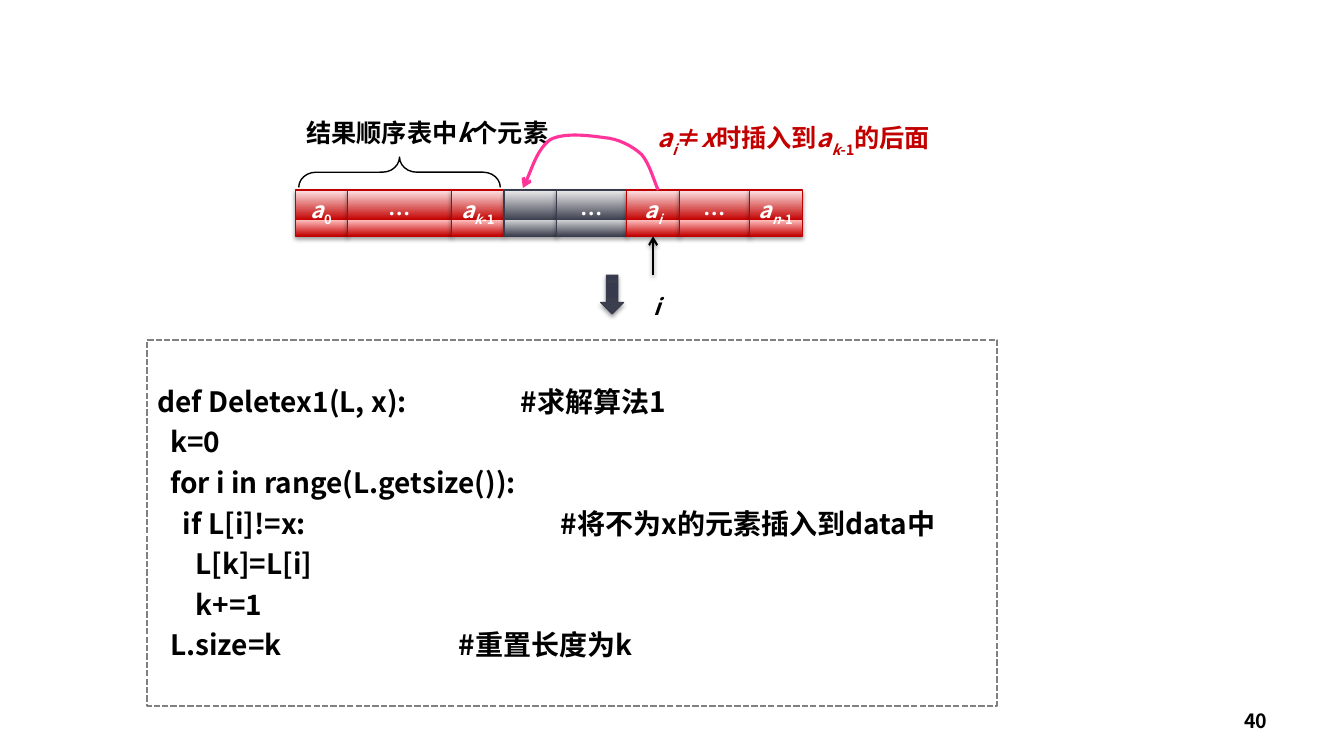
from typing import NamedTuple

import pptx
import pptx.dml.color
import pptx.enum.dml
import pptx.enum.shapes
import pptx.enum.text
import pptx.oxml
import pptx.oxml.ns
import pptx.util

PX = 9525
FONT = "Noto Sans CJK SC"
NS = pptx.oxml.ns.nsdecls("a")
KIND = pptx.enum.shapes.MSO_SHAPE
ALIGN = pptx.enum.text.PP_ALIGN
ANCHOR = pptx.enum.text.MSO_ANCHOR
qn = pptx.oxml.ns.qn
Pt = pptx.util.Pt


class Bit(NamedTuple):
    text: str
    italic: bool = False
    sub: bool = False


class Skin(NamedTuple):
    stops: list[tuple[int, str]]
    edge: str


class Cell(NamedTuple):
    width: int
    skin: Skin
    bits: list[Bit]


class Label(NamedTuple):
    box: tuple[int, int, int, int]
    size: int
    color: str
    inset: int
    bits: list[Bit]


class Code(NamedTuple):
    text: str
    note: str = ""
    stop: int = 0


RED = Skin([(0, "C30000"), (35, "FFBDBD"), (35, "C30000"), (100, "FFE6E6")], "BF0000")
GRAY = Skin([(0, "3B3E4D"), (35, "D1D2D5"), (35, "3B3E4D"), (100, "EEEEEF")], "393C4C")
DARK = Skin([(0, "3B3E4D"), (80, "373A4D"), (80, "3B3E4D"), (100, "363A4E")], "393C4C")

DOTS = [Bit("…")]
LAST = [Bit("a", True), Bit("k", True, True), Bit("-1", False, True)]
ITEM = [Bit("a", True), Bit("i", True, True)]
CELLS = [
    Cell(50, RED, [Bit("a", True), Bit("0", False, True)]),
    Cell(99, RED, DOTS),
    Cell(50, RED, LAST),
    Cell(50, GRAY, []),
    Cell(67, GRAY, DOTS),
    Cell(50, RED, ITEM),
    Cell(67, RED, DOTS),
    Cell(50, RED, [Bit("a", True), Bit("n", True, True), Bit("-1", False, True)]),
]
ROW_X, ROW_Y, ROW_H = 281, 181, 44
ITEM_AT = 5

LABELS = [
    Label((269, 107, 276, 44), 18, "000000", 5,
          [Bit("结果顺序表中"), Bit("k", True), Bit("个元素")]),
    Label((614, 112, 284, 44), 18, "C30000", 5,
          [*ITEM, Bit("≠"), Bit("x", True), Bit("时插入到"), *LAST, Bit("的后面")]),
    Label((609, 279, 33, 31), 16, "000000", 0, [Bit("i", True)]),
]
CODE = [
    Code("def Deletex1(L, x):", "#求解算法1", 346),
    Code("  k=0"),
    Code("  for i in range(L.getsize()):"),
    Code("    if L[i]!=x:", "#将不为x的元素插入到data中", 384),
    Code("      L[k]=L[i]"),
    Code("      k+=1"),
    Code("  L.size=k", "#重置长度为k", 287),
]
# Start point, then three points for each cubic segment
CURVE = [
    (627, 181),
    (624, 176), (619, 156), (611, 147),
    (602, 139), (589, 132), (575, 131),
    (561, 129), (537, 126), (524, 133),
    (512, 142), (504, 168), (498, 179),
]


def rgb(code: str):
    return pptx.dml.color.RGBColor.from_string(code)


def xml(text: str):
    return pptx.oxml.parse_xml(text)


def edge(line, color: str, width: float) -> None:
    line.color.rgb = rgb(color)
    line.width = Pt(width)


def tip(shape) -> None:
    """Put an arrowhead at the end of the line."""
    shape.element.spPr.find(qn("a:ln")).append(xml(f'<a:tailEnd {NS} type="arrow"/>'))


def cast(shape) -> None:
    """Give a soft shadow straight below."""
    props = shape.element.spPr
    for old in props.findall(qn("a:effectLst")):
        props.remove(old)
    props.append(xml(
        f'<a:effectLst {NS}><a:outerShdw blurRad="40000" dist="20000" dir="5400000" '
        'rotWithShape="0"><a:srgbClr val="000000"><a:alpha val="38000"/></a:srgbClr>'
        '</a:outerShdw></a:effectLst>'))


def add(slide, kind, box: tuple[int, int, int, int]):
    shape = slide.shapes.add_shape(kind, *(n * PX for n in box))
    shape.shadow.inherit = False
    shape.fill.background()
    shape.line.fill.background()
    return shape


def paint(shape, skin: Skin) -> None:
    shape.fill.gradient()
    shape.fill.gradient_angle = 90
    stops = shape.element.spPr.find(qn("a:gradFill")).find(qn("a:gsLst"))
    for old in list(stops):
        stops.remove(old)
    for place, color in skin.stops:
        stops.append(xml(f'<a:gs {NS} pos="{place * 1000}"><a:srgbClr val="{color}"/></a:gs>'))
    edge(shape.line, skin.edge, 0.75)
    cast(shape)


def frame(shape, anchor, side: int, top: int):
    text = shape.text_frame
    text.word_wrap = True
    text.vertical_anchor = anchor
    text.margin_left = text.margin_right = side * PX
    text.margin_top = text.margin_bottom = top * PX
    return text


def write(para, bits: list[Bit], size: int, color: str, align) -> None:
    para.alignment = align
    for bit in bits:
        run = para.add_run()
        run.text = bit.text
        font = run.font
        font.size, font.bold, font.italic = Pt(size), True, bit.italic
        font.color.rgb = rgb(color)
        font.name = FONT
        props = run._r.get_or_add_rPr()
        props.append(xml(f'<a:ea {NS} typeface="{FONT}"/>'))
        if bit.sub:
            props.set("baseline", "-30000")


def draw_row(slide) -> list:
    x, boxes = ROW_X, []
    for cell in CELLS:
        box = add(slide, KIND.RECTANGLE, (x, ROW_Y, cell.width, ROW_H))
        paint(box, cell.skin)
        if cell.bits:
            para = frame(box, ANCHOR.TOP, 0, 5).paragraphs[0]
            para.line_spacing = Pt(23)
            write(para, cell.bits, 16, "FFFFFF", ALIGN.CENTER)
        boxes.append(box)
        x += cell.width
    return boxes


def draw_label(slide, label: Label) -> None:
    box = add(slide, KIND.RECTANGLE, label.box)
    box.fill.solid()
    box.fill.fore_color.rgb = rgb("FFFFFF")
    para = frame(box, ANCHOR.TOP, 0, label.inset).paragraphs[0]
    write(para, label.bits, label.size, label.color, ALIGN.CENTER)


def draw_curve(slide) -> None:
    pen = slide.shapes.build_freeform(*CURVE[0], scale=PX)
    pen.add_line_segments(CURVE[1:], close=False)
    curve = pen.convert_to_shape()
    curve.shadow.inherit = False
    curve.fill.background()
    edge(curve.line, "FF3399", 2.25)
    tip(curve)
    steps = list(curve.element.iter(qn("a:lnTo")))
    for first, *rest in zip(steps[::3], steps[1::3], steps[2::3]):
        first.tag = qn("a:cubicBezTo")
        for step in rest:
            first.append(step[0])
            step.getparent().remove(step)


def draw_code(slide) -> None:
    box = add(slide, KIND.RECTANGLE, (140, 324, 810, 348))
    edge(box.line, "808080", 1.5)
    box.line.dash_style = pptx.enum.dml.MSO_LINE.SQUARE_DOT
    text = frame(box, ANCHOR.MIDDLE, 10, 5)
    for i, row in enumerate(CODE):
        para = text.add_paragraph() if i else text.paragraphs[0]
        if i:
            para.space_before = Pt(5)
        bits = [Bit(row.text)]
        if row.note:
            bits.append(Bit("\t" + row.note))
            para._p.get_or_add_pPr().append(xml(
                f'<a:tabLst {NS}><a:tab pos="{row.stop * PX}" algn="l"/></a:tabLst>'))
        write(para, bits, 20, "000000", ALIGN.LEFT)


def main() -> None:
    deck = pptx.Presentation()
    deck.slide_width, deck.slide_height = 1280 * PX, 720 * PX
    slide = deck.slides.add_slide(deck.slide_layouts[6])

    for label in LABELS:
        draw_label(slide, label)
    boxes = draw_row(slide)

    brace = add(slide, KIND.LEFT_BRACE, (366, 68, 29, 192))
    brace.rotation = 90
    brace.adjustments[0] = 0.565
    edge(brace.line, "000000", 1)

    item = boxes[ITEM_AT]
    mid = item.left + item.width // 2
    arrow = slide.shapes.add_connector(
        pptx.enum.shapes.MSO_CONNECTOR.STRAIGHT, mid, 262 * PX, mid, (ROW_Y + ROW_H) * PX)
    arrow.end_connect(item, 2)
    edge(arrow.line, "000000", 1.5)
    tip(arrow)
    cast(arrow)

    draw_curve(slide)
    paint(add(slide, KIND.DOWN_ARROW, (572, 262, 22, 37)), DARK)
    draw_code(slide)

    page = slide.shapes.add_textbox(*(n * PX for n in (918, 667, 299, 38)))
    para = frame(page, ANCHOR.MIDDLE, 10, 5).paragraphs[0]
    write(para, [Bit("40")], 14, "000000", ALIGN.RIGHT)
    deck.save("out.pptx")


if __name__ == "__main__":
    main()
